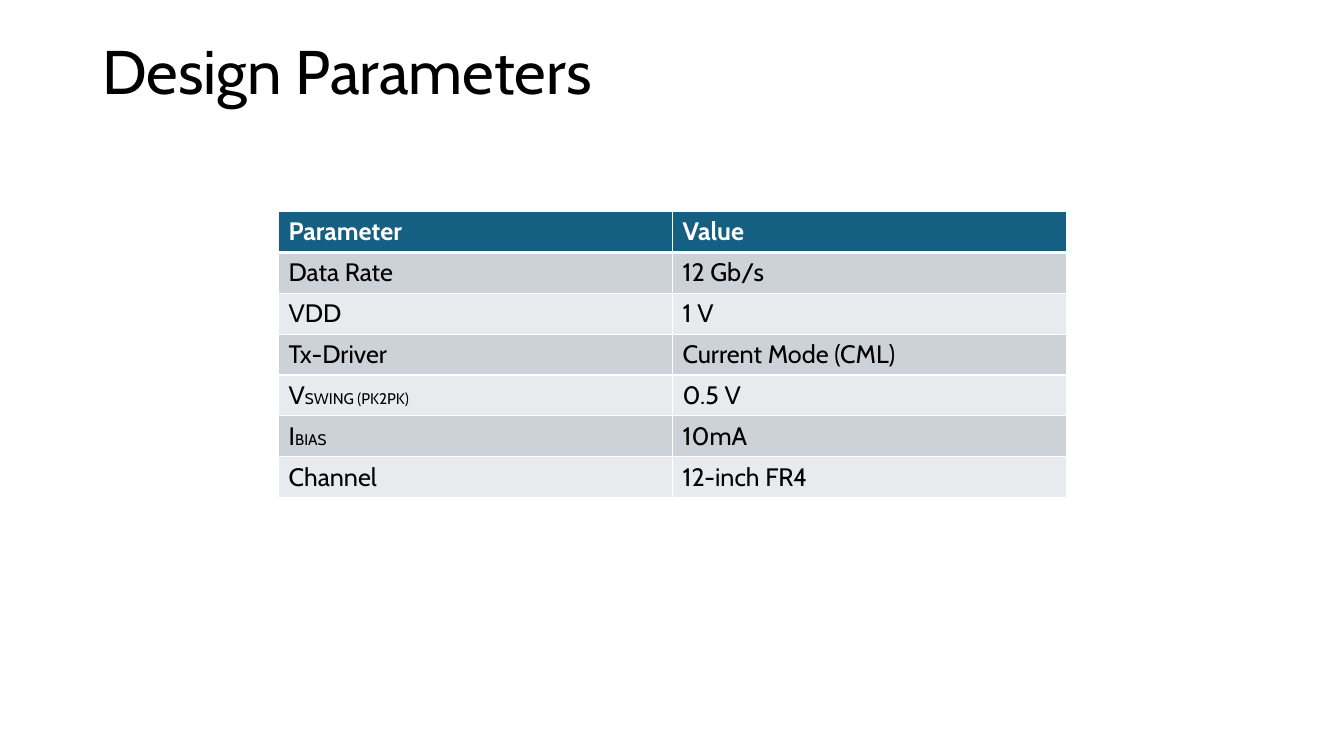
from lxml.etree import SubElement
from pptx import Presentation
from pptx.dml.color import RGBColor
from pptx.enum.text import MSO_ANCHOR
from pptx.oxml.ns import qn
from pptx.util import Cm, Pt

PARAMETERS = [
    ("Data Rate", "", "12 Gb/s"),
    ("VDD", "", "1 V"),
    ("Tx-Driver", "", "Current Mode (CML)"),
    ("V", "SWING (PK2PK)", "0.5 V"),
    ("I", "BIAS", "10mA"),
    ("Channel", "", "12-inch FR4"),
]


def color(value):
    return RGBColor.from_string(value)


class SlideBuilder:
    """Hold the style and the current slide, and add elements to it."""

    font = "Cabin"
    ink = "000000"
    paper = "FFFFFF"
    header_fill = "156082"
    band_fills = ("CCD2D8", "E8EAED")
    body_size = 18
    small_size = 11

    def __init__(self, slide):
        self.slide = slide

    def add_span(self, para, text, size, ink, bold=False):
        span = para.add_run()
        span.text = text
        span.font.name = self.font
        span.font.size = Pt(size)
        span.font.bold = bold
        span.font.color.rgb = color(ink)

    def add_title(self, text, left, top, width, height):
        box = self.slide.shapes.add_textbox(Cm(left), Cm(top), Cm(width), Cm(height))
        frame = box.text_frame
        frame.word_wrap = True
        frame.vertical_anchor = MSO_ANCHOR.MIDDLE
        para = frame.paragraphs[0]
        para.line_spacing = 0.9
        self.add_span(para, text, 44, self.ink)

    def add_borders(self, cell, widths):
        properties = cell._tc.get_or_add_tcPr()
        for side, width in widths.items():
            line = SubElement(properties, qn(f"a:ln{side}"), w=str(Pt(width)))
            fill = SubElement(line, qn("a:solidFill"))
            SubElement(fill, qn("a:srgbClr"), val=self.paper)

    def fill_cell(self, cell, row, spans):
        header = row == 0
        top = 3 if row == 1 else 1
        bottom = 3 if header else 1
        self.add_borders(cell, {"L": 1, "R": 1, "T": top, "B": bottom})
        cell.fill.solid()
        fill = self.header_fill if header else self.band_fills[(row - 1) % 2]
        cell.fill.fore_color.rgb = color(fill)
        ink = self.paper if header else self.ink
        para = cell.text_frame.paragraphs[0]
        for text, size in spans:
            if text:
                self.add_span(para, text, size, ink, header)

    def add_parameter_table(self, parameters, left, top, width, row_height):
        rows = [("Parameter", "", "Value"), *parameters]
        height = row_height * len(rows)
        frame = self.slide.shapes.add_table(
            len(rows), 2, Cm(left), Cm(top), Cm(width), Cm(height)
        )
        table = frame.table
        for index, (name, subscript, value) in enumerate(rows):
            table.rows[index].height = Cm(row_height)
            name_spans = [(name, self.body_size), (subscript, self.small_size)]
            self.fill_cell(table.cell(index, 0), index, name_spans)
            self.fill_cell(table.cell(index, 1), index, [(value, self.body_size)])


def main():
    deck = Presentation()
    deck.slide_width = Cm(33.87)
    deck.slide_height = Cm(19.05)
    page = SlideBuilder(deck.slides.add_slide(deck.slide_layouts[6]))
    page.add_parameter_table(PARAMETERS, 7.02, 5.33, 19.86, 1.03)
    page.add_title("Design Parameters", 2.33, 0.05, 29.21, 3.68)
    deck.save("out.pptx")


if __name__ == "__main__":
    main()
